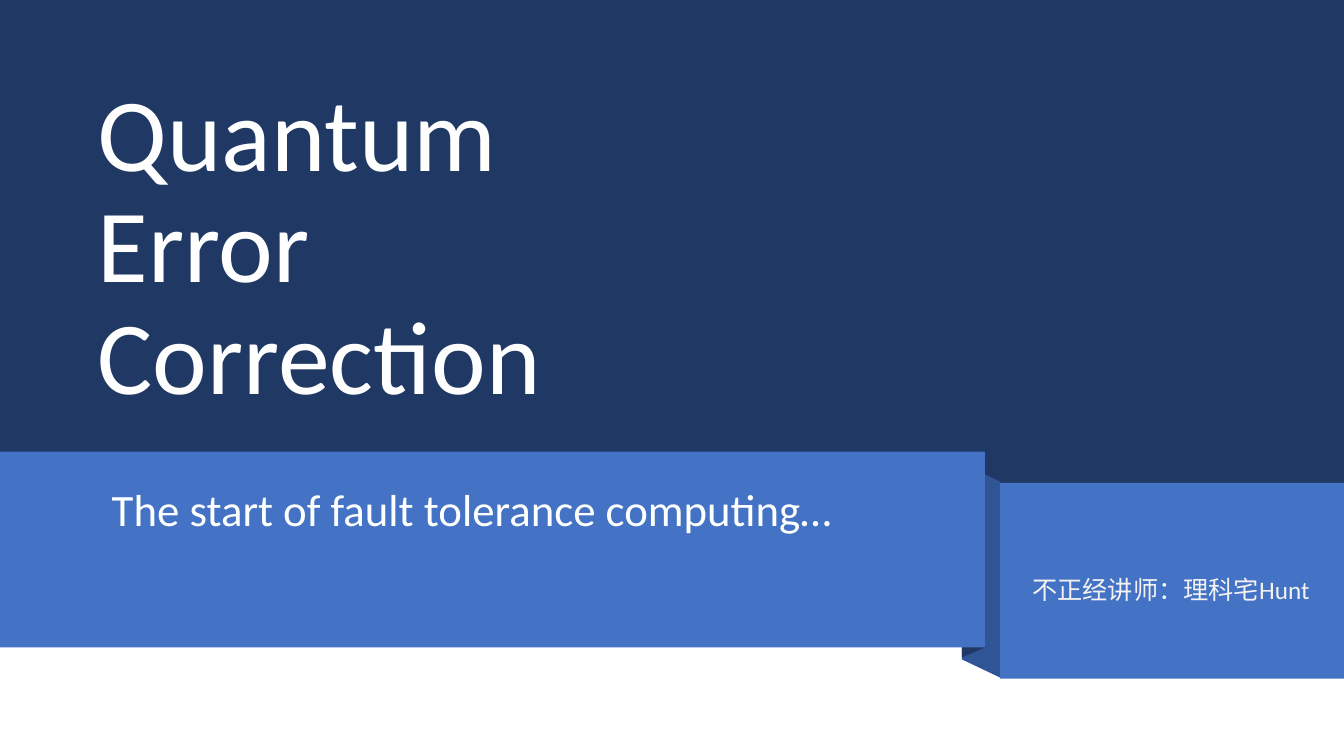
from pptx import Presentation
from pptx.dml.color import RGBColor as RGB
from pptx.enum.shapes import MSO_SHAPE as Kind
from pptx.enum.text import MSO_ANCHOR as Anchor
from pptx.util import Inches, Pt

NAVY = RGB(0x20, 0x38, 0x64)
DARK = RGB(0x2F, 0x55, 0x97)
BLUE = RGB(0x44, 0x72, 0xC4)
WHITE = RGB(0xFF, 0xFF, 0xFF)
PEARL = RGB(0xFE, 0xFF, 0xFF)
PALE = RGB(0xF2, 0xF2, 0xF2)

WIDE, HIGH = Inches(13.33), Inches(7.5)

# Ribbon, in percent of the slide's width and height
LEFT_END, RIGHT_START, FOLD = 73.29, 74.42, 71.57
LEFT_TOP, RIGHT_TOP, DEPTH = 59.73, 63.87, 25.9


def col(share):
    return round(WIDE * share / 100)


def row(share):
    return round(HIGH * share / 100)


def box(x, y, w, h):
    return col(x), row(y), col(w), row(h)


def paint(shape, color):
    shape.shadow.inherit = False
    shape.fill.solid()
    shape.fill.fore_color.rgb = color
    shape.line.fill.background()


def block(slide, area, color):
    paint(slide.shapes.add_shape(Kind.RECTANGLE, *box(*area)), color)


def flap(slide, start, end, color):
    """Slanted strip of ribbon depth between two top corners."""
    (x1, y1), (x2, y2) = start, end
    pen = slide.shapes.build_freeform(col(x1), row(y1))
    rest = [(x2, y2), (x2, y2 + DEPTH), (x1, y1 + DEPTH)]
    pen.add_line_segments([(col(x), row(y)) for x, y in rest], close=True)
    paint(pen.convert_to_shape(), color)


def label(slide, area, text, size, color, anchor=Anchor.TOP, **form):
    frame = slide.shapes.add_textbox(*box(*area)).text_frame
    frame.word_wrap = True
    frame.vertical_anchor = anchor
    para = frame.paragraphs[0]
    para.text = text
    for key, value in form.items():
        setattr(para, key, value)
    style = {"name": "Calibri", "size": Pt(size)}
    for run in para.runs:
        for key, value in style.items():
            setattr(run.font, key, value)
        run.font.color.rgb = color


def main():
    deck = Presentation()
    deck.slide_width, deck.slide_height = WIDE, HIGH
    slide = deck.slides.add_slide(deck.slide_layouts[6])

    # Header with title
    block(slide, (0, 0, 100, 66.4), NAVY)
    label(slide, (6.53, 9.33, 66.77, 46.53), "Quantum\vError\vCorrection",
          74, WHITE, Anchor.BOTTOM, line_spacing=0.9)

    # Folds behind the ribbon
    flap(slide, (FOLD, 61.33), (RIGHT_START, 63.73), DARK)
    flap(slide, (FOLD, 61.07), (LEFT_END, LEFT_TOP), NAVY)

    # Left band with subtitle
    block(slide, (0, LEFT_TOP, LEFT_END, DEPTH), BLUE)
    label(slide, (7.58, 63.87, 63.47, 18.67),
          "The start of fault tolerance computing…", 32, PEARL,
          line_spacing=0.9, space_before=Pt(10))

    # Right band with speaker
    block(slide, (RIGHT_START, RIGHT_TOP, 100 - RIGHT_START, DEPTH), BLUE)
    label(slide, (76.07, 75.33, 23.03, 5.33), "不正经讲师：理科宅Hunt", 18, PALE)

    deck.save("out.pptx")


main()
